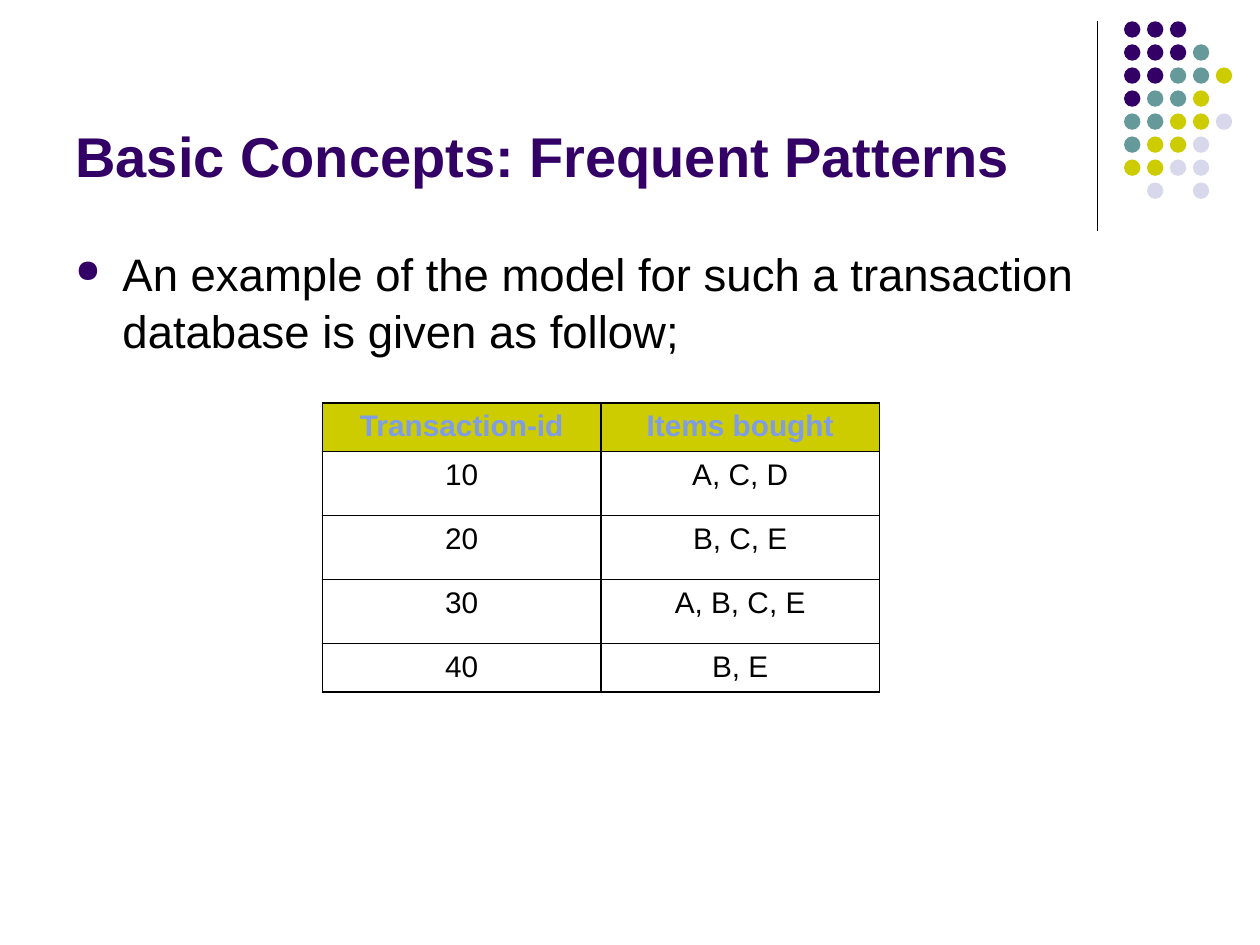
from lxml.etree import SubElement
from pptx import Presentation
from pptx.dml.color import RGBColor
from pptx.enum.shapes import MSO_CONNECTOR, MSO_SHAPE
from pptx.enum.text import MSO_ANCHOR, PP_ALIGN
from pptx.oxml.ns import qn
from pptx.util import Cm, Pt

PURPLE = RGBColor(0x33, 0x00, 0x66)
TEAL = RGBColor(0x66, 0x99, 0x99)
OLIVE = RGBColor(0xCC, 0xCC, 0x00)
LAVENDER = RGBColor(0xD8, 0xD8, 0xEC)
BLUE = RGBColor(0x7E, 0x9C, 0xE8)
BLACK = RGBColor(0x00, 0x00, 0x00)

FONT = "Arial"
DOT_SIZE = 0.33
DOT_COLORS = {"P": PURPLE, "T": TEAL, "O": OLIVE, "L": LAVENDER}
DOT_ROWS = ["PPP", "PPPT", "PPTTO", "PTTO", "TTOOL", "TOOL", "OOLL", " L L"]
TRANSACTIONS = [
    ("Transaction-id", "Items bought"),
    ("10", "A, C, D"),
    ("20", "B, C, E"),
    ("30", "A, B, C, E"),
    ("40", "B, E"),
]
ROW_HEIGHTS = [0.97, 1.29, 1.29, 1.29, 0.97]
THICK, THIN = Pt(1.08), Pt(0.45)


def style_paragraph(paragraph, size, color, bold=False):
    paragraph.font.name = FONT
    paragraph.font.size = Pt(size)
    paragraph.font.bold = bold
    paragraph.font.color.rgb = color


def add_text(slide, box, text, size, color, bold=False, anchor=MSO_ANCHOR.TOP):
    text_box = slide.shapes.add_textbox(*map(Cm, box))
    frame = text_box.text_frame
    frame.word_wrap = True
    frame.vertical_anchor = anchor
    paragraph = frame.paragraphs[0]
    paragraph.text = text
    style_paragraph(paragraph, size, color, bold)
    return paragraph


def add_divider(slide, left, top, height):
    divider = slide.shapes.add_connector(
        MSO_CONNECTOR.STRAIGHT, Cm(left), Cm(top), Cm(left), Cm(top + height)
    )
    divider.line.color.rgb = BLACK
    divider.line.width = Pt(0.75)
    SubElement(divider._element.spPr, qn("a:effectLst"))


def add_dots(slide, left, top, width, height):
    column_step = (width - DOT_SIZE) / (max(map(len, DOT_ROWS)) - 1)
    row_step = (height - DOT_SIZE) / (len(DOT_ROWS) - 1)
    group = slide.shapes.add_group_shape()
    for row, keys in enumerate(DOT_ROWS):
        for column, key in enumerate(keys):
            if key == " ":
                continue
            dot = group.shapes.add_shape(
                MSO_SHAPE.OVAL,
                Cm(left + column * column_step),
                Cm(top + row * row_step),
                Cm(DOT_SIZE),
                Cm(DOT_SIZE),
            )
            dot.shadow.inherit = False
            dot.fill.solid()
            dot.fill.fore_color.rgb = DOT_COLORS[key]
            dot.line.fill.background()


def add_bullet_text(slide, box, text):
    paragraph = add_text(slide, box, text, 26, BLACK)
    paragraph.space_before = Pt(6.5)
    paragraph.line_spacing = 1.05
    properties = paragraph._p.get_or_add_pPr()
    properties.set("marL", str(Cm(0.95)))
    properties.set("indent", str(Cm(-0.95)))
    bullet_color = properties.makeelement(qn("a:buClr"), {})
    SubElement(bullet_color, qn("a:srgbClr"), val=str(PURPLE))
    bullet_size = properties.makeelement(qn("a:buSzPct"), {"val": "70000"})
    bullet = properties.makeelement(qn("a:buChar"), {"char": "●"})
    default_font = properties.find(qn("a:defRPr"))
    for element in (bullet_color, bullet_size, bullet):
        if default_font is None:
            properties.append(element)
        else:
            default_font.addprevious(element)


def set_borders(cell, top, bottom):
    properties = cell._tc.get_or_add_tcPr()
    widths = {"a:lnL": THICK, "a:lnR": THICK, "a:lnT": top, "a:lnB": bottom}
    for tag, width in widths.items():
        line = SubElement(properties, qn(tag), w=str(width))
        fill = SubElement(line, qn("a:solidFill"))
        SubElement(fill, qn("a:srgbClr"), val=str(BLACK))


def add_transaction_table(slide, left, top, width):
    last_row = len(TRANSACTIONS) - 1
    table = slide.shapes.add_table(
        len(TRANSACTIONS), 2, Cm(left), Cm(top), Cm(width), Cm(sum(ROW_HEIGHTS))
    ).table
    table.horz_banding = False
    for row, values in enumerate(TRANSACTIONS):
        table.rows[row].height = Cm(ROW_HEIGHTS[row])
        header = row == 0
        for column, value in enumerate(values):
            cell = table.cell(row, column)
            set_borders(
                cell,
                THICK if row <= 1 else THIN,
                THICK if row in (0, last_row) else THIN,
            )
            if header:
                cell.fill.solid()
                cell.fill.fore_color.rgb = OLIVE
            else:
                cell.fill.background()
            paragraph = cell.text_frame.paragraphs[0]
            paragraph.text = value
            paragraph.alignment = PP_ALIGN.CENTER
            paragraph.space_before = Pt(4.2)
            style_paragraph(paragraph, 17, BLUE if header else BLACK, header)


def main():
    presentation = Presentation()
    presentation.slide_width = Cm(25.4)
    presentation.slide_height = Cm(19.05)
    slide = presentation.slides.add_slide(presentation.slide_layouts[6])
    add_divider(slide, 22.12, 0.43, 4.22)
    add_dots(slide, 22.66, 0.43, 2.18, 3.58)
    add_text(
        slide,
        (1.27, 0.33, 20.96, 3.61),
        "Basic Concepts: Frequent Patterns",
        32,
        PURPLE,
        bold=True,
        anchor=MSO_ANCHOR.BOTTOM,
    )
    add_bullet_text(
        slide,
        (1.27, 4.78, 21.03, 2.54),
        "An example of the model for such a transaction database is given as follow;",
    )
    add_transaction_table(slide, 6.5, 8.13, 11.23)
    presentation.save("out.pptx")


if __name__ == "__main__":
    main()
